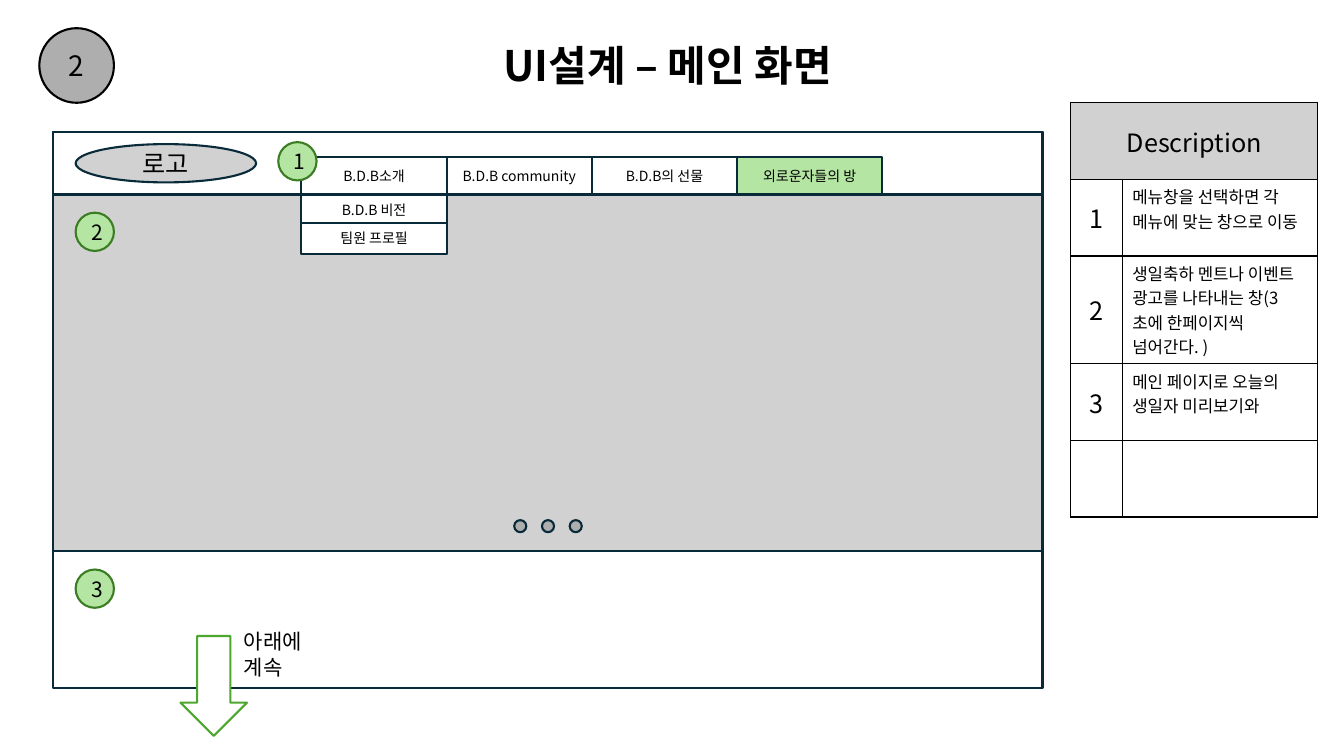
from lxml import etree
from pptx import Presentation
from pptx.dml.color import RGBColor
from pptx.enum.shapes import MSO_SHAPE
from pptx.enum.text import MSO_ANCHOR, PP_ALIGN
from pptx.oxml.ns import qn
from pptx.util import Inches, Pt

RECT, OVAL, DOWN = MSO_SHAPE.RECTANGLE, MSO_SHAPE.OVAL, MSO_SHAPE.DOWN_ARROW
MIDDLE, TOP = MSO_ANCHOR.MIDDLE, MSO_ANCHOR.TOP
CENTER, LEFT = PP_ALIGN.CENTER, PP_ALIGN.LEFT
FONT = "Noto Sans CJK KR"
COLORS = {
    "black": "000000", "white": "FFFFFF", "navy": "092A39",
    "light": "D1D1D1", "gray": "AEAEAE", "mint": "B4E5A2",
    "forest": "3B7D23", "green": "4EA72E",
}

TITLE = "UI설계 – 메인 화면 "
PAGE_NUMBER = "2"
LOGO = "로고"
MENU = [("B.D.B소개", "white"), ("B.D.B community", "white"),
        ("B.D.B의 선물", "white"), ("외로운자들의 방", "mint")]
SUBMENU = [("B.D.B 비전", 1.93), ("팀원 프로필", 2.21)]
BADGES = [("1", 2.76, 1.41), ("2", 0.75, 2.11), ("3", 0.75, 5.65)]
CONTINUED = "아래에 계속"
DESCRIPTION = "Description"
NOTES = [
    ("1", "메뉴창을 선택하면 각 메뉴에 맞는 창으로 이동"),
    ("2", "생일축하 멘트나 이벤트 광고를 나타내는 창(3초에 한페이지씩 넘어간다. )"),
    ("3", "메인 페이지로 오늘의 생일자 미리보기와"),
    ("", ""),
]

FRAME_LEFT, FRAME_WIDTH = 0.53, 9.81
BANDS = [(1.31, 5.52, "white"), (1.31, 0.62, "white"), (1.93, 3.54, "light")]
MENU_LEFT, MENU_TOP, MENU_WIDTH, MENU_HEIGHT = 2.99, 1.56, 1.44, 0.37
SUBMENU_HEIGHT = 0.31
BADGE_SIZE = 0.38
DOT_LEFT, DOT_TOP, DOT_SIZE, DOT_STEP, DOT_COUNT = 5.1, 5.16, 0.12, 0.275, 3
NOTE_COLUMNS = (0.51, 1.94)
NOTE_ROWS = (0.76, 0.76, 1.07, 0.76, 0.76)

prs = Presentation()
prs.slide_width, prs.slide_height = Inches(13.33), Inches(7.5)
slide = prs.slides.add_slide(prs.slide_layouts[6])


def rgb(name):
    return RGBColor.from_string(COLORS[name])


def write(frame, text, size, align=CENTER, bold=False):
    paragraph = frame.paragraphs[0]
    paragraph.alignment = align
    run = paragraph.add_run()
    run.text = text
    run.font.name, run.font.size, run.font.bold = FONT, Pt(size), bold
    run.font.color.rgb = rgb("black")
    etree.SubElement(run.font._element, qn("a:ea")).set("typeface", FONT)
    return paragraph


def add_part(kind, left, top, width, height, fill, line="navy", text="", size=10):
    part = slide.shapes.add_shape(
        kind, Inches(left), Inches(top), Inches(width), Inches(height))
    part.shadow.inherit = False
    part.fill.solid()
    part.fill.fore_color.rgb = rgb(fill)
    part.line.color.rgb = rgb(line)
    part.line.width = Pt(1.5)
    if text:
        part.text_frame.vertical_anchor = MIDDLE
        write(part.text_frame, text, size)


def add_label(left, top, width, height, text, size, anchor, align, bold=False):
    box = slide.shapes.add_textbox(
        Inches(left), Inches(top), Inches(width), Inches(height))
    box.text_frame.word_wrap = True
    box.text_frame.vertical_anchor = anchor
    return write(box.text_frame, text, size, align, bold)


def fill_cell(cell, text, size, anchor, align, fill=None):
    if fill:
        cell.fill.solid()
        cell.fill.fore_color.rgb = rgb(fill)
    else:
        cell.fill.background()
    cell.vertical_anchor = anchor
    if text:
        write(cell.text_frame, text, size, align)


def border_cell(cell):
    properties = cell._tc.get_or_add_tcPr()
    for index, side in enumerate(("a:lnL", "a:lnR", "a:lnT", "a:lnB")):
        edge = etree.Element(qn(side), w=str(Pt(1)))
        paint = etree.SubElement(edge, qn("a:solidFill"))
        etree.SubElement(paint, qn("a:srgbClr"), val=COLORS["black"])
        properties.insert(index, edge)


def add_notes():
    table = slide.shapes.add_table(
        len(NOTE_ROWS), len(NOTE_COLUMNS), Inches(10.62), Inches(1.02),
        Inches(sum(NOTE_COLUMNS)), Inches(sum(NOTE_ROWS))).table
    table.first_row = table.horz_banding = False
    for column, width in zip(table.columns, NOTE_COLUMNS):
        column.width = Inches(width)
    for row, height in zip(table.rows, NOTE_ROWS):
        row.height = Inches(height)
    table.cell(0, 0).merge(table.cell(0, 1))
    fill_cell(table.cell(0, 0), DESCRIPTION, 18, MIDDLE, CENTER, "light")
    for row, (number, note) in enumerate(NOTES, 1):
        fill_cell(table.cell(row, 0), number, 18, MIDDLE, CENTER)
        fill_cell(table.cell(row, 1), note, 12, TOP, LEFT)
    for cell in table.iter_cells():
        border_cell(cell)


heading = add_label(3.88, 0.33, 5.58, 0.69, TITLE, 30, MIDDLE, CENTER, True)
heading.line_spacing = 0.9

for top, height, fill in BANDS:
    add_part(RECT, FRAME_LEFT, top, FRAME_WIDTH, height, fill)
add_part(OVAL, 0.75, 1.43, 1.79, 0.38, "light", text=LOGO, size=18)

for index, (entry, fill) in enumerate(MENU):
    add_part(RECT, MENU_LEFT + index * MENU_WIDTH, MENU_TOP,
             MENU_WIDTH, MENU_HEIGHT, fill, text=entry)
for entry, top in SUBMENU:
    add_part(RECT, MENU_LEFT, top, MENU_WIDTH, SUBMENU_HEIGHT, "white", text=entry)

for number, left, top in BADGES:
    add_part(OVAL, left, top, BADGE_SIZE, BADGE_SIZE, "mint", "forest", number, 15)
for index in range(DOT_COUNT):
    add_part(OVAL, DOT_LEFT + index * DOT_STEP, DOT_TOP, DOT_SIZE, DOT_SIZE, "gray")

add_notes()
add_part(DOWN, 1.79, 6.31, 0.66, 0.99, "white", "green")
add_label(2.32, 6.19, 0.88, 0.61, CONTINUED, 15, TOP, LEFT)
add_part(OVAL, 0.39, 0.28, 0.74, 0.74, "gray", "black", PAGE_NUMBER, 20)

prs.save("out.pptx")
